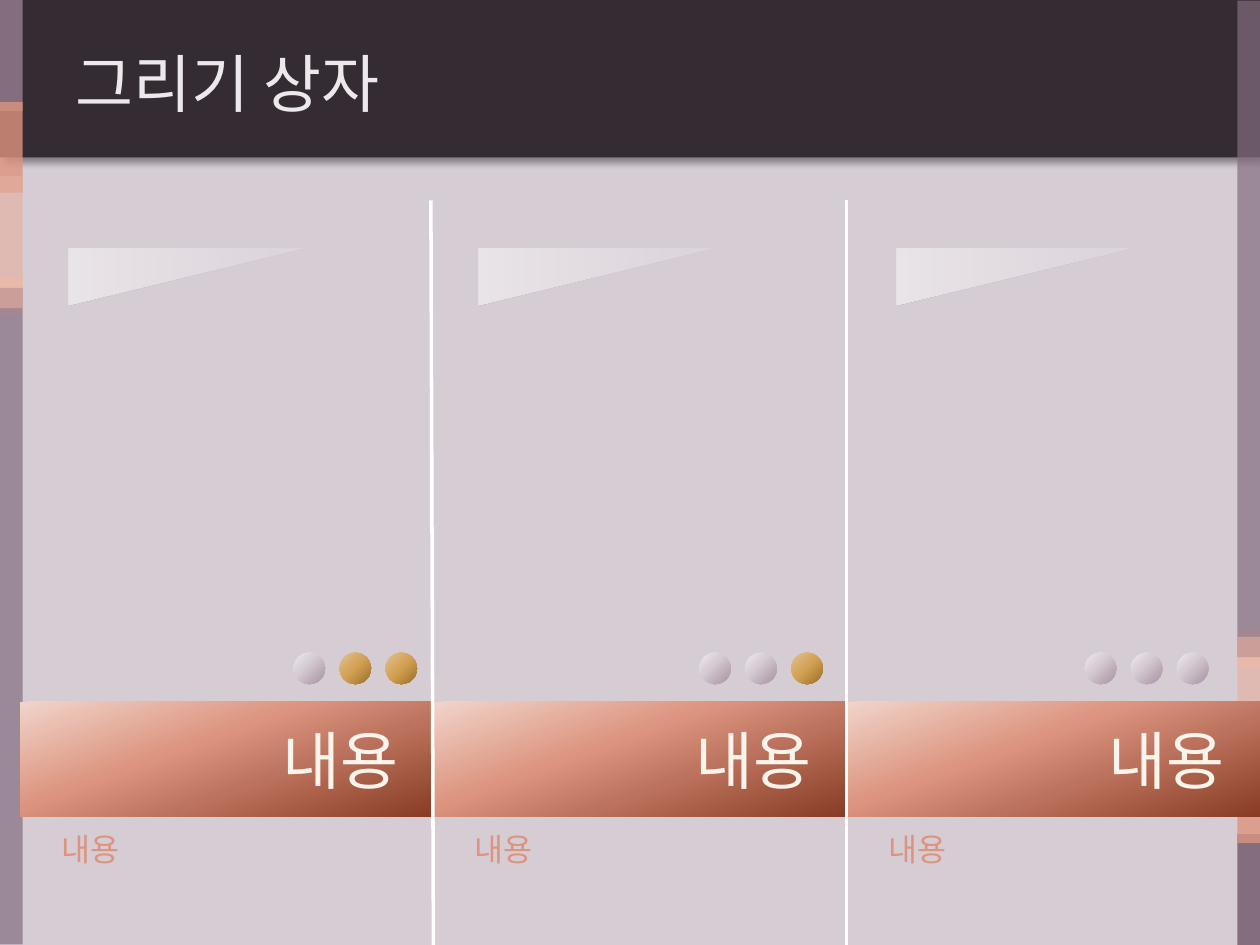
from lxml import etree
from pptx import Presentation
from pptx.dml.color import RGBColor
from pptx.enum import shapes, text
from pptx.oxml import ns
from pptx.util import Inches, Pt

TITLE = "그리기 상자"
COLUMNS = [  # heading, body, dot colours, left of dots, left of wedge
    ("내용", "내용", ("pale", "gold", "gold"), 2.33, 1.26),
    ("내용", "내용", ("pale", "pale", "gold"), 5.55, 4.51),
    ("내용", "내용", ("pale", "pale", "pale"), 8.61, 7.83),
]
DIVIDERS = [(3.44, 3.42), (6.72, 6.72)]  # bottom x, top x
STRIPS = [  # centre y on the left edge, length, colour, opacity
    (2.35, 0.3, "EECABF", 100),
    (4.89, 5.21, "846D7F", 70),
    (0.44, 0.88, "846D7F", 100),
    (1.17, 0.72, "DC947E", 80),
    (1.92, 1.05, "E5AF9E", 60),
]
DOTS = {
    "pale": [(0, "EFEBEE", 100), (40, "D6CCD4", 100), (100, "A792A3", 100)],
    "gold": [(0, "E2C391", 100), (50, "D2A153", 100), (100, "9A6E29", 100)],
}
BAND = [(0, "F1D4CB", 100), (40, "DC947E", 100), (100, "883C25", 100)]
WEDGE = [(0, "FFFFFF", 15), (50, "FFFFFF", 30), (100, "FFFFFF", 50)]
WIDTH, HEIGHT = 10, 7.5
COLUMN_LEFT, COLUMN_WIDTH = 0.16, 3.28
STRIP_WIDTH, DOT_SIZE, DOT_STEP = 0.18, 0.25, 0.365


def rgb(value):
    """Turn a hex string into a colour."""
    return RGBColor.from_string(value)


def add_node(parent, tag, **attributes):
    """Append a DrawingML element with the given attributes."""
    node = etree.SubElement(parent, ns.qn("a:" + tag))
    for name, value in attributes.items():
        node.set(name, str(value))
    return node


def add_color(parent, color, opacity):
    """Append a colour with its opacity in percent."""
    node = add_node(parent, "srgbClr", val=color)
    if opacity < 100:
        add_node(node, "alpha", val=opacity * 1000)


def add_block(parent, kind, box, fill, opacity=100, angle=0, rotation=0):
    """Add an unlined shape, its fill a colour or a list of gradient stops."""
    shape = parent.add_shape(kind, *map(Inches, box))
    shape.rotation = rotation
    shape.shadow.inherit = False
    shape.line.fill.background()
    if isinstance(fill, str):
        shape.fill.solid()
        shape.fill.fore_color.rgb = rgb(fill)
        if opacity < 100:
            color = shape._element.spPr.find(".//" + ns.qn("a:srgbClr"))
            add_node(color, "alpha", val=opacity * 1000)
        return shape
    shape.fill.gradient()
    gradient = shape._element.spPr.find(ns.qn("a:gradFill"))
    for child in list(gradient):
        gradient.remove(child)
    gradient.set("rotWithShape", "1")
    stops = add_node(gradient, "gsLst")
    for position, color, alpha in fill:
        add_color(add_node(stops, "gs", pos=position * 1000), color, alpha)
    add_node(gradient, "lin", ang=angle * 60000, scaled=0)
    return shape


def set_text(shape, words, size, font, color, align):
    """Write one formatted paragraph."""
    shape.text_frame.word_wrap = True
    shape.text_frame.text = words
    paragraph = shape.text_frame.paragraphs[0]
    paragraph.alignment = align
    paragraph.font.size = Pt(size)
    paragraph.font.name = font
    paragraph.font.color.rgb = rgb(color)


def add_divider(slide, bottom_x, top_x):
    """Draw a white line from the bottom edge upwards."""
    line = slide.shapes.add_connector(
        shapes.MSO_CONNECTOR.STRAIGHT,
        *map(Inches, (bottom_x, HEIGHT, top_x, 1.59)))
    line.line.color.rgb = rgb("FFFFFF")
    line.line.width = Pt(2)
    add_node(line._element.spPr, "effectLst")


def add_frame(slide):
    """Add the header bar and the strips on both edges."""
    header = add_block(slide.shapes, shapes.MSO_SHAPE.RECTANGLE,
                       (0, 0, WIDTH, 1.25), "352B33")
    effects = header._element.spPr.find(ns.qn("a:effectLst"))
    shadow = add_node(effects, "outerShdw", blurRad=Pt(4), dist=Pt(3),
                      dir=45 * 60000, algn="tl", rotWithShape=0)
    add_color(shadow, "000000", 40)
    for on_right in (True, False):
        group = slide.shapes.add_group_shape()
        center_x = WIDTH - STRIP_WIDTH / 2 if on_right else STRIP_WIDTH / 2
        for center_y, length, color, opacity in STRIPS:
            y = HEIGHT - center_y if on_right else center_y
            box = (center_x - length / 2, y - STRIP_WIDTH / 2,
                   length, STRIP_WIDTH)
            add_block(group.shapes, shapes.MSO_SHAPE.RECTANGLE, box, color,
                      opacity, rotation=270 if on_right else 90)


presentation = Presentation()
presentation.slide_width = Inches(WIDTH)
presentation.slide_height = Inches(HEIGHT)
slide = presentation.slides.add_slide(presentation.slide_layouts[5])
slide.background.fill.solid()
slide.background.fill.fore_color.rgb = rgb("D6CCD4")
add_frame(slide)

title = slide.shapes.title
title.left, title.top, title.width, title.height = map(
    Inches, (0.5, 0.21, 9, 0.88))
title.text_frame.vertical_anchor = text.MSO_ANCHOR.MIDDLE
set_text(title, TITLE, 36, "Arial", "ECE8EC", text.PP_ALIGN.LEFT)
slide.shapes._spTree.append(title._element)  # in front of the header bar

for index, (heading, body, dots, dots_left, wedge_left) in enumerate(COLUMNS):
    left = COLUMN_LEFT + index * COLUMN_WIDTH
    band = add_block(slide.shapes, shapes.MSO_SHAPE.RECTANGLE,
                     (left, 5.57, COLUMN_WIDTH, 0.91), BAND, angle=70)
    band.text_frame.margin_right = Inches(0.28)
    band.text_frame.vertical_anchor = text.MSO_ANCHOR.MIDDLE
    set_text(band, heading, 36, "Lato", "FAF5EC", text.PP_ALIGN.RIGHT)

    caption = slide.shapes.add_textbox(
        *map(Inches, (left + 0.23, 6.54, 2.81, 0.71)))
    caption.text_frame.auto_size = text.MSO_AUTO_SIZE.SHAPE_TO_FIT_TEXT
    set_text(caption, body, 18, "Lato", "DC947E", text.PP_ALIGN.LEFT)

    for place, dot in enumerate(dots):
        box = (dots_left + place * DOT_STEP, 5.18, DOT_SIZE, DOT_SIZE)
        add_block(slide.shapes, shapes.MSO_SHAPE.OVAL, box, DOTS[dot],
                  angle=45)
    add_block(slide.shapes, shapes.MSO_SHAPE.RIGHT_TRIANGLE,
              (wedge_left, 1.26, 0.45, 1.88), WEDGE, angle=90, rotation=90)

for bottom_x, top_x in DIVIDERS:
    add_divider(slide, bottom_x, top_x)

presentation.save("out.pptx")
